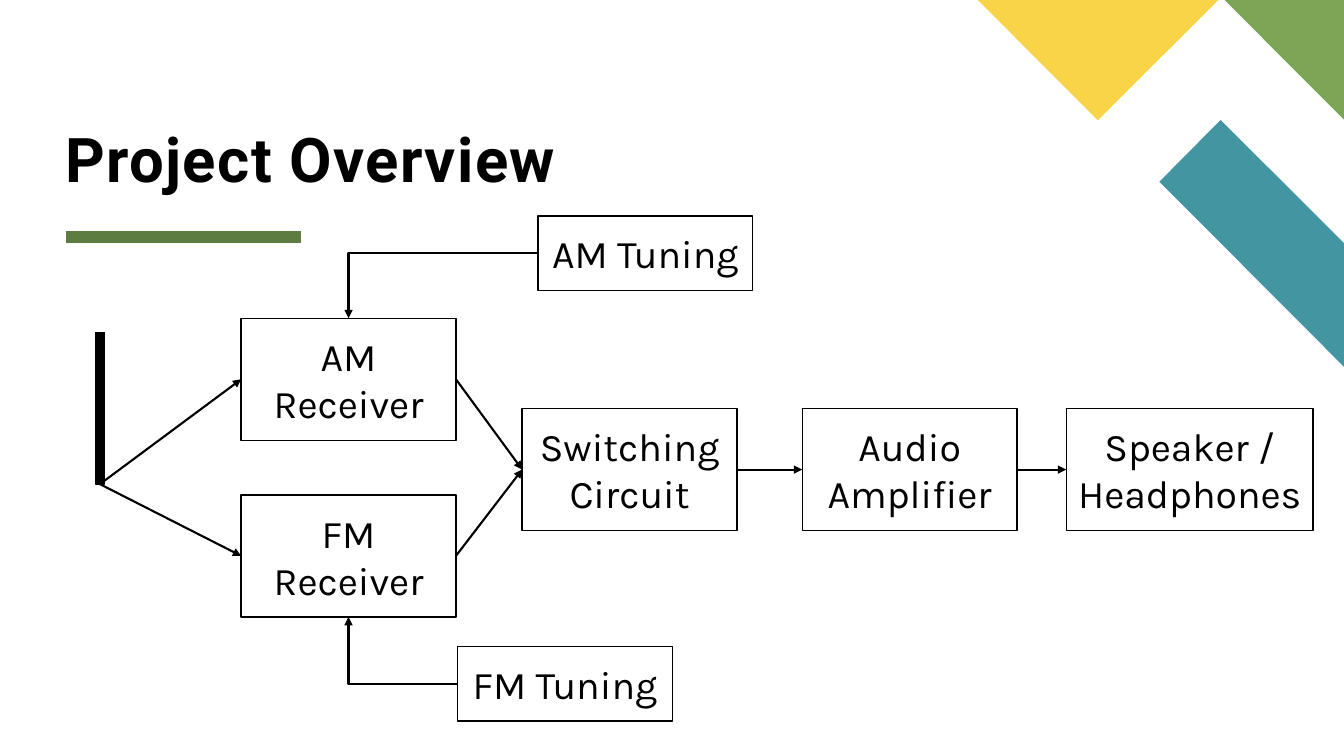
from dataclasses import dataclass

from lxml import etree
from pptx import Presentation
from pptx.dml.color import RGBColor
from pptx.enum.shapes import MSO_CONNECTOR as Connector, MSO_SHAPE as Shape
from pptx.enum.text import MSO_ANCHOR as Anchor, MSO_AUTO_SIZE as AutoSize, PP_ALIGN as Align
from pptx.oxml.ns import qn
from pptx.util import Pt


@dataclass(frozen=True)
class Theme:
    ink: RGBColor = RGBColor.from_string("000000")
    teal: RGBColor = RGBColor.from_string("4495A2")
    green: RGBColor = RGBColor.from_string("7CA655")
    yellow: RGBColor = RGBColor.from_string("F9D448")
    rule: RGBColor = RGBColor.from_string("5D7D40")
    title_font: str = "Roboto"
    body_font: str = "Karla"
    title_size: Pt = Pt(44)
    body_size: Pt = Pt(28)


theme = Theme()
TOP, LEFT, BOTTOM, RIGHT = range(4)


def add_line(kind, x1, y1, x2, y2, color, width):
    line = slide.shapes.add_connector(kind, Pt(x1), Pt(y1), Pt(x2), Pt(y2))
    line.line.color.rgb = color
    line.line.width = Pt(width)
    etree.SubElement(line._element.spPr, qn("a:effectLst"))
    return line


def add_block(x, y, width, height):
    block = slide.shapes.add_shape(Shape.RECTANGLE, Pt(x), Pt(y), Pt(width), Pt(height))
    block.shadow.inherit = False
    block.line.color.rgb = theme.ink
    block.line.width = Pt(1)
    return block


prs = Presentation()
prs.slide_width, prs.slide_height = Pt(960), Pt(540)
slide = prs.slides.add_slide(prs.slide_layouts[5])

# Corner decoration
corner_pieces = [
    (theme.teal, [(960, 262), (960, 173.6), (871.9, 85.7), (828.2, 129.8)]),
    (theme.green, [(960, 85.5), (960, 0), (874.7, 0)]),
    (theme.yellow, [(698.4, 0), (784.3, 85.9), (870.3, 0)]),
]
for color, corners in corner_pieces:
    start, *others = [(Pt(x), Pt(y)) for x, y in corners]
    outline = slide.shapes.build_freeform(*start, scale=1)
    outline.add_line_segments(others, close=True)
    piece = outline.convert_to_shape()
    piece.shadow.inherit = False
    piece.fill.solid()
    piece.fill.fore_color.rgb = color
    piece.line.fill.background()

add_line(Connector.STRAIGHT, 46.9, 169.3, 214.7, 169.3, theme.rule, 8)

# Title
title = slide.shapes.title
title.left, title.top, title.width, title.height = Pt(46.8), Pt(21.6), Pt(769.7), Pt(117.4)
frame = title.text_frame
frame.auto_size = AutoSize.NONE
frame.word_wrap = True
frame.vertical_anchor = Anchor.BOTTOM
frame.margin_left = frame.margin_top = frame.margin_right = frame.margin_bottom = 0
heading = frame.paragraphs[0]
heading.alignment = Align.LEFT
heading.line_spacing = 0.8
run = heading.add_run()
run.text = "Project Overview"
run.font.name = theme.title_font
run.font.size = theme.title_size
run.font.bold = True
run.font.color.rgb = theme.ink
run.font._element.set("spc", "100")

# Signal chain blocks
antenna = add_block(68.2, 237.5, 6.4, 108.3)
antenna.fill.solid()
antenna.fill.fore_color.rgb = theme.ink

WIDTH, STAGE, TUNER = 153.4, 87.2, 53.3
CHAIN_Y = 291.8
stages = [
    ("AM Receiver", 172.3, 227.3, WIDTH, STAGE),
    ("FM Receiver", 172.3, 353.5, WIDTH, STAGE),
    ("Switching Circuit", 373, CHAIN_Y, WIDTH, STAGE),
    ("Audio Amplifier", 573.1, CHAIN_Y, WIDTH, STAGE),
    ("Speaker / Headphones", 761.6, CHAIN_Y, 176.4, STAGE),
    ("AM Tuning", 384.3, 154.2, WIDTH, TUNER),
    ("FM Tuning", 326.9, 461.7, WIDTH, TUNER),
]
blocks = {"Antenna": antenna}
for label, x, y, width, height in stages:
    block = blocks[label] = add_block(x, y, width, height)
    block.fill.background()
    frame = block.text_frame
    frame.word_wrap = True
    frame.vertical_anchor = Anchor.MIDDLE
    paragraph = frame.paragraphs[0]
    paragraph.alignment = Align.CENTER
    run = paragraph.add_run()
    run.text = label
    run.font.name = theme.body_font
    run.font.size = theme.body_size
    run.font.color.rgb = theme.ink

# Signal paths
signals = [
    ("Antenna", BOTTOM, "AM Receiver", LEFT),
    ("Antenna", BOTTOM, "FM Receiver", LEFT),
    ("AM Receiver", RIGHT, "Switching Circuit", LEFT),
    ("FM Receiver", RIGHT, "Switching Circuit", LEFT),
    ("Switching Circuit", RIGHT, "Audio Amplifier", LEFT),
    ("Audio Amplifier", RIGHT, "Speaker / Headphones", LEFT),
    ("AM Tuning", LEFT, "AM Receiver", TOP),
    ("FM Tuning", LEFT, "FM Receiver", BOTTOM),
]
for source, source_side, target, target_side in signals:
    bent = target_side != LEFT
    kind = Connector.ELBOW if bent else Connector.STRAIGHT
    arrow = add_line(kind, 0, 0, 0, 0, theme.ink, 1.5)
    arrow.begin_connect(blocks[source], source_side)
    arrow.end_connect(blocks[target], target_side)
    if bent:
        arrow._element.spPr.find(qn("a:prstGeom")).set("prst", "bentConnector2")
    etree.SubElement(arrow.line._get_or_add_ln(), qn("a:tailEnd"), type="triangle")

prs.save("out.pptx")
